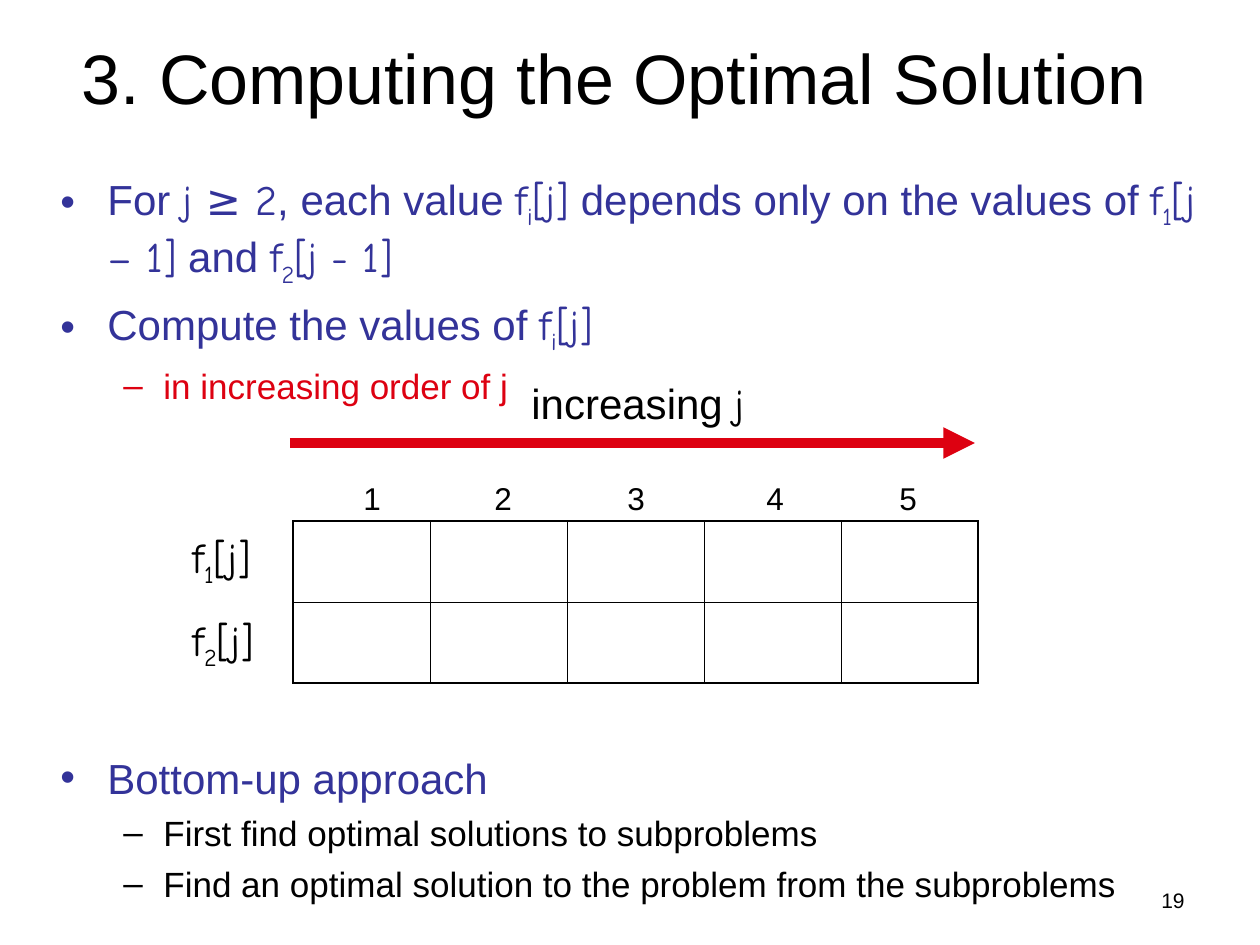
from dataclasses import dataclass

from lxml import etree
from pptx import Presentation
from pptx.dml.color import RGBColor
from pptx.enum.shapes import MSO_CONNECTOR
from pptx.enum.text import MSO_ANCHOR, PP_ALIGN
from pptx.oxml.ns import qn
from pptx.util import Emu, Pt

PX = 914400 / 126
LEFT, CENTER, RIGHT = PP_ALIGN.LEFT, PP_ALIGN.CENTER, PP_ALIGN.RIGHT
TOP, MIDDLE = MSO_ANCHOR.TOP, MSO_ANCHOR.MIDDLE
STRAIGHT = MSO_CONNECTOR.STRAIGHT
COLORS = {"black": "000000", "blue": "333399", "red": "DD0111"}
SANS, COMIC = "Arial", "Comic Neue"


@dataclass
class Run:
    text: str
    font: str = SANS
    subscript: bool = False


@dataclass
class Paragraph:
    runs: list[Run]
    size: int
    color: str = "black"
    bullet: str = ""
    indent: int = 0
    hanging: int = 0
    space_before: int = 0
    align: PP_ALIGN = LEFT


@dataclass
class TextBox:
    left: int
    top: int
    width: int
    height: int
    paragraphs: list[Paragraph]
    wrap: bool = False
    anchor: MSO_ANCHOR = TOP


def px(length: int) -> Emu:
    return Emu(round(length * PX))


def rgb(name: str) -> RGBColor:
    return RGBColor.from_string(COLORS[name])


def indexed(index: str, argument: str) -> list[Run]:
    return [Run("f", COMIC), Run(index, COMIC, True), Run(argument, COMIC)]


def point(runs: list[Run], space_before: int = 6) -> Paragraph:
    return Paragraph(runs, 24, "blue", "•", 47, 47, space_before)


def subpoint(text: str, color: str = "black") -> Paragraph:
    return Paragraph([Run(text)], 20, color, "–", 103, 40, 5)


def add_bullet(properties, content: Paragraph) -> None:
    properties.set("marL", str(px(content.indent)))
    properties.set("indent", str(-px(content.hanging)))
    color = etree.SubElement(properties, qn("a:buClr"))
    etree.SubElement(color, qn("a:srgbClr"), val=COLORS[content.color])
    etree.SubElement(properties, qn("a:buFont"), typeface=SANS)
    etree.SubElement(properties, qn("a:buChar"), char=content.bullet)


def draw_text(slide, box: TextBox) -> None:
    shape = slide.shapes.add_textbox(px(box.left), px(box.top), px(box.width), px(box.height))
    frame = shape.text_frame
    frame.word_wrap = box.wrap
    frame.vertical_anchor = box.anchor
    for number, content in enumerate(box.paragraphs):
        paragraph = frame.add_paragraph() if number else frame.paragraphs[0]
        paragraph.alignment = content.align
        if content.space_before:
            paragraph.space_before = Pt(content.space_before)
        if content.bullet:
            add_bullet(paragraph._p.get_or_add_pPr(), content)
        for part in content.runs:
            run = paragraph.add_run()
            run.text = part.text
            run.font.name = part.font
            run.font.size = Pt(content.size)
            run.font.color.rgb = rgb(content.color)
            if part.subscript:
                run.font._element.set("baseline", "-25000")


def draw_border(cell, side: str, width: float) -> None:
    line = etree.SubElement(cell._tc.get_or_add_tcPr(), qn(f"a:{side}"), w=str(Pt(width)))
    fill = etree.SubElement(line, qn("a:solidFill"))
    etree.SubElement(fill, qn("a:srgbClr"), val=COLORS["black"])


def draw_grid(slide, left: int, top: int, rows: int, columns: int) -> None:
    column_width, row_height = 137, 81
    table = slide.shapes.add_table(
        rows, columns, px(left), px(top),
        px(columns * column_width), px(rows * row_height)).table
    table.first_row = table.horz_banding = False
    for column in table.columns:
        column.width = px(column_width)
    for row in table.rows:
        row.height = px(row_height)
    for r in range(rows):
        for c in range(columns):
            cell = table.cell(r, c)
            outer_sides = {"lnL": c == 0, "lnR": c == columns - 1,
                           "lnT": r == 0, "lnB": r == rows - 1}
            for side, outer in outer_sides.items():
                draw_border(cell, side, 1.08 if outer else 0.45)
            cell.fill.background()


def draw_arrow(slide, left: int, right: int, y: int) -> None:
    arrow = slide.shapes.add_connector(STRAIGHT, px(left), px(y), px(right), px(y))
    arrow.line.color.rgb = rgb("red")
    arrow.line.width = Pt(6)
    etree.SubElement(arrow.line._get_or_add_ln(), qn("a:tailEnd"), type="triangle")
    etree.SubElement(arrow._element.spPr, qn("a:effectLst"))


def main() -> None:
    presentation = Presentation()
    presentation.slide_width, presentation.slide_height = px(1260), px(945)
    slide = presentation.slides.add_slide(presentation.slide_layouts[6])

    # Title
    title = Paragraph([Run("3. Computing the Optimal Solution")], 40, align=CENTER)
    draw_text(slide, TextBox(47, 14, 1134, 125, [title], True, MIDDLE))

    # Bullets above and below the table
    dependence = [
        Run("For "), Run("j ≥ 2", COMIC), Run(", each value "), *indexed("i", "[j]"),
        Run(" depends only on the values of "), *indexed("1", "[j – 1]"),
        Run(" and "), *indexed("2", "[j - 1]")]
    draw_text(slide, TextBox(48, 167, 1192, 250, [
        point(dependence, 0),
        point([Run("Compute the values of "), *indexed("i", "[j]")]),
        subpoint("in increasing order of j", "red")], True))
    draw_text(slide, TextBox(48, 746, 1192, 165, [
        point([Run("Bottom-up approach")], 0),
        subpoint("First find optimal solutions to subproblems"),
        subpoint("Find an optimal solution to the problem from the subproblems")], True))

    # Page number
    page = Paragraph([Run("19")], 12, align=RIGHT)
    draw_text(slide, TextBox(903, 881, 294, 44, [page], True))

    # Table with row and column labels
    draw_grid(slide, 293, 521, 2, 5)
    for index, top in (("1", 525), ("2", 608)):
        label = Paragraph(indexed(index, "[j]"), 24)
        draw_text(slide, TextBox(180, top, 96, 71, [label]))
    for number, left in enumerate((351, 482, 615, 754, 887), start=1):
        draw_text(slide, TextBox(left, 473, 43, 50, [Paragraph([Run(str(number))], 18)]))

    # Direction of computation
    draw_arrow(slide, 290, 975, 443)
    direction = Paragraph([Run("increasing "), Run("j", COMIC)], 24)
    draw_text(slide, TextBox(519, 371, 246, 63, [direction]))

    presentation.save("out.pptx")


if __name__ == "__main__":
    main()
